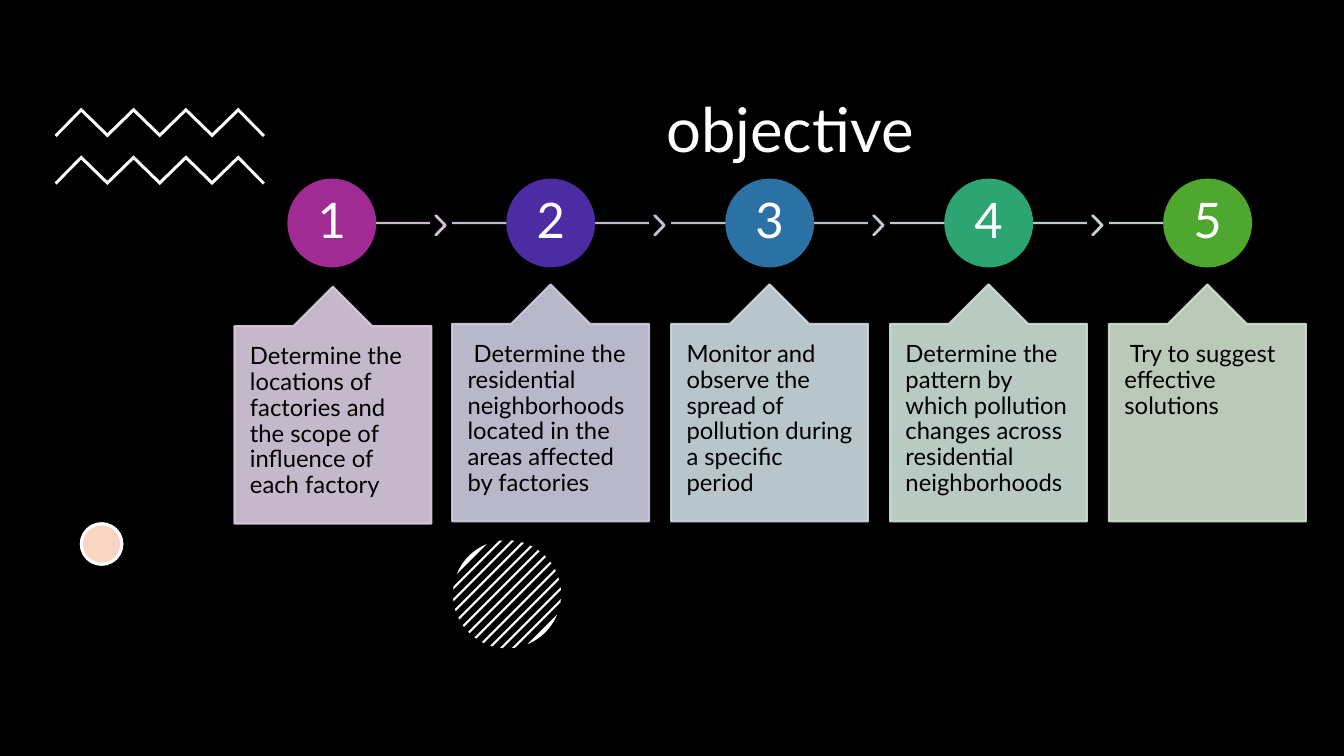
import math
import pptx
import pptx.util
import pptx.dml.color
import pptx.enum.shapes
import pptx.enum.text
import pptx.oxml
import pptx.oxml.ns

Pt = pptx.util.Pt
Kind = pptx.enum.shapes.MSO_SHAPE
Align = pptx.enum.text.PP_ALIGN
Anchor = pptx.enum.text.MSO_ANCHOR
FONT = "Lato"
HUES = {"black": "000000", "white": "FFFFFF", "peach": "E97132"}


def paint(fill, hue, alpha=100):
    """Make a fill solid in one colour, with opacity in percent."""
    fill.solid()
    fill.fore_color.rgb = pptx.dml.color.RGBColor.from_string(hue)
    if alpha < 100:
        clr = fill._xPr.find(".//" + pptx.oxml.ns.qn("a:srgbClr"))
        tag = pptx.oxml.parse_xml(
            f'<a:alpha {pptx.oxml.ns.nsdecls("a")} val="{alpha * 1000}"/>')
        clr.append(tag)


def place(kind, x, y, w, h, hue, alpha=100, edge=None, width=1.5):
    """Add a filled and outlined preset shape without shadow."""
    shape = shapes.add_shape(kind, Pt(x), Pt(y), Pt(w), Pt(h))
    shape.shadow.inherit = False
    paint(shape.fill, hue, alpha)
    paint(shape.line.fill, edge or hue, 100 if edge else alpha)
    shape.line.width = Pt(width)
    return shape


prs = pptx.Presentation()
prs.slide_width, prs.slide_height = Pt(960), Pt(540)
slide = prs.slides.add_slide(prs.slide_layouts[5])
shapes = slide.shapes
paint(slide.background.fill, HUES["black"])

# Title
title = shapes.title
title.left, title.top = Pt(468.7), Pt(31)
title.width, title.height = Pt(411), Pt(91.4)
frame = title.text_frame
frame.text = "objective"
frame.auto_size = pptx.enum.text.MSO_AUTO_SIZE.NONE
frame.vertical_anchor = Anchor.BOTTOM
para = frame.paragraphs[0]
para.alignment = Align.LEFT
para.line_spacing = 0.9
para.font.name, para.font.size = FONT, Pt(44)
paint(para.font.fill, HUES["white"])

# Outlines of the two zigzags and the striped disc
forms = []
for top in (77, 111):
    bends = [(58 + 18.7 * i, top + 18.2 * (i % 2)) for i in range(7)]
    forms.append([(39, top + 19.4)] + bends
                 + [(189.2, top + 19.4), (187.8, top + 20.9)]
                 + [(x, y + 3) for x, y in reversed(bends)]
                 + [(40.4, top + 20.9)])

mid_x, mid_y, radius = 362.2, 424.5, 38.6
for k in range(-6, 7):
    near, far = 6.06 * k - 0.76, 6.06 * k + 0.76
    if k == -6:
        near = -radius
    if k == 6:
        far = radius
    start, stop = math.acos(near / radius), math.acos(far / radius)
    turns = [start + (stop - start) * i / 8 for i in range(9)]
    turns += [-t for t in reversed(turns)]
    forms.append([(mid_x + radius * math.cos(math.pi / 4 + t),
                   mid_y + radius * math.sin(math.pi / 4 + t)) for t in turns])

for form in forms:
    spots = [(Pt(x), Pt(y)) for x, y in form]
    pen = shapes.build_freeform(*spots[0], scale=1)
    pen.add_line_segments(spots[1:], close=True)
    shape = pen.convert_to_shape()
    shape.shadow.inherit = False
    paint(shape.fill, HUES["white"])
    shape.line.fill.background()

# Small dot
for hue, alpha in (("white", 100), ("peach", 30)):
    place(Kind.OVAL, 58.2, 374.2, 28.8, 28.8, HUES[hue], alpha,
          HUES["white"], 2.25)

# Steps: text, then disc, line, chevron and card colours
steps = [
    ("Determine the locations of factories and the scope of influence of "
     "each factory", "A02B93", "DFCDDC", "DECDDF", "DACDE0"),
    (" Determine the residential neighborhoods located in the areas "
     "affected by factories", "4B2CA2", "D6CDE0", "D2CDE0", "CDCDE0"),
    ("Monitor and observe the spread of pollution during a specific period",
     "2C71A4", "CDD2E0", "CDD6E0", "CDDBE0"),
    ("Determine the pattern by which pollution changes across residential "
     "neighborhoods", "2DA573", "CDE0E1", "CDE1DD", "CDE1D8"),
    (" Try to suggest effective solutions",
     "4EA72E", "CDE1D4", None, "D0E1CD"),
]
last = len(steps) - 1
for i, (text, disc, rail, tip, card) in enumerate(steps):
    shift = 156.4 * i
    left = 166.6 + shift
    x1 = 244.8 if i == 0 else left
    x2 = left + (70.4 if i == last else 140.6)
    line = shapes.add_connector(pptx.enum.shapes.MSO_CONNECTOR.STRAIGHT,
                                Pt(x1), Pt(159.3), Pt(x2), Pt(159.3))
    paint(line.line.fill, rail, 90)
    line.line.width = Pt(1.5)
    line._element.spPr.append(pptx.oxml.parse_xml(
        f'<a:effectLst {pptx.oxml.ns.nsdecls("a")}/>'))

    if tip:
        mark = place(Kind.CHEVRON, 311 + shift, 154, 7.4, 13.8, tip, 90)
        mark.adjustments[0] = 0.9

    ball = place(Kind.OVAL, 206 + shift, 128.3, 62, 62, disc)
    nudge = 1.6 if i == 0 else 0
    box = place(Kind.UP_ARROW_CALLOUT, left + nudge * 0.6, 203.2 + nudge,
                140.6, 169.2, card, 90)
    for n, value in enumerate((0.5, 0.2, 0.2, 1)):
        box.adjustments[n] = value

    for shape, words, size, hue, align, anchor, side, edge in (
            (ball, str(i + 1), 35, "white", Align.CENTER, Anchor.MIDDLE, 2, 2),
            (box, text, 17, "black", Align.LEFT, Anchor.TOP, 11, 13)):
        frame = shape.text_frame
        frame.text = words
        frame.word_wrap = True
        frame.vertical_anchor = anchor
        frame.margin_left = frame.margin_right = Pt(side)
        frame.margin_top = frame.margin_bottom = Pt(edge)
        para = frame.paragraphs[0]
        para.alignment = align
        para.line_spacing = 0.9
        para.font.name, para.font.size = FONT, Pt(size)
        paint(para.font.fill, HUES[hue])

prs.save("out.pptx")
